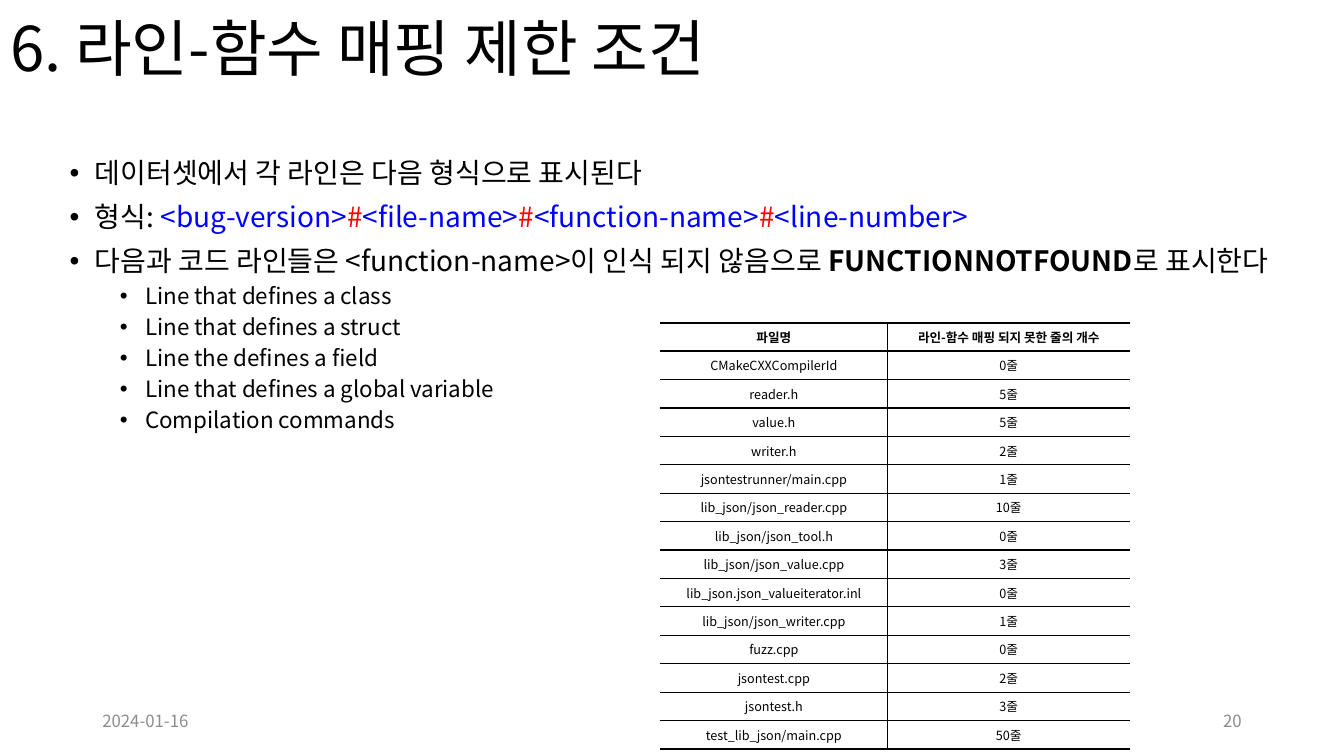
import dataclasses

import lxml.etree
import pptx
import pptx.dml.color
import pptx.enum.text
import pptx.oxml.ns
import pptx.util

Pt = pptx.util.Pt
qn = pptx.oxml.ns.qn
ALIGN = pptx.enum.text.PP_ALIGN
ANCHOR = pptx.enum.text.MSO_ANCHOR


@dataclasses.dataclass(frozen=True)
class Theme:
    font: str = "Noto Sans CJK KR"
    ink: str = "000000"
    field: str = "0000FF"
    separator: str = "FF0000"
    muted: str = "8C8C8C"
    title_size: float = 44
    list_sizes: tuple = (20, 16)
    list_gaps: tuple = (10, 5)
    list_indents: tuple = (18, 54)
    hanging: float = 18
    footer_size: float = 12
    table_size: float = 9
    thin: float = 1
    thick: float = 1.5


class SlideBuilder:
    def __init__(self, slide, theme):
        self.slide = slide
        self.theme = theme

    def place(self, shape, left, top, width, height):
        shape.left, shape.top = Pt(left), Pt(top)
        shape.width, shape.height = Pt(width), Pt(height)

    def add_run(self, paragraph, text, size, color=None, bold=False):
        run = paragraph.add_run()
        run.text = text
        run.font.name = self.theme.font
        run.font.size = Pt(size)
        run.font.bold = bold
        run.font.color.rgb = pptx.dml.color.RGBColor.from_string(color or self.theme.ink)
        east_asian = lxml.etree.SubElement(run.font._element, qn("a:ea"))
        east_asian.set("typeface", self.theme.font)

    def add_title(self, text, *box):
        title = self.slide.shapes.title
        self.place(title, *box)
        title.text_frame.vertical_anchor = ANCHOR.MIDDLE
        title.text_frame.auto_size = pptx.enum.text.MSO_AUTO_SIZE.NONE
        heading = title.text_frame.paragraphs[0]
        heading.alignment = ALIGN.LEFT
        heading.line_spacing = 0.9
        self.add_run(heading, text, self.theme.title_size)

    def add_list(self, items, *box):
        """Fill the body with (level, runs) items; a run is (text, color, bold)."""
        body = self.slide.placeholders[1]
        self.place(body, *box)
        frame = body.text_frame
        frame.auto_size = pptx.enum.text.MSO_AUTO_SIZE.NONE
        for index, (level, runs) in enumerate(items):
            item = frame.add_paragraph() if index else frame.paragraphs[0]
            item.level = level
            item.line_spacing = 0.9
            item.space_before = Pt(self.theme.list_gaps[level])
            properties = item._p.get_or_add_pPr()
            properties.set("marL", str(Pt(self.theme.list_indents[level])))
            properties.set("indent", str(Pt(-self.theme.hanging)))
            lxml.etree.SubElement(properties, qn("a:buFont")).set("typeface", "Arial")
            lxml.etree.SubElement(properties, qn("a:buChar")).set("char", "•")
            for text, color, bold in runs:
                self.add_run(item, text, self.theme.list_sizes[level], color, bold)

    def add_footer(self, text, alignment, *box):
        frame = self.slide.shapes.add_textbox(*map(Pt, box)).text_frame
        frame.word_wrap = True
        frame.vertical_anchor = ANCHOR.MIDDLE
        frame.paragraphs[0].alignment = alignment
        self.add_run(frame.paragraphs[0], text, self.theme.footer_size, self.theme.muted)

    def set_border(self, cell, side, width):
        """Draw one side of a cell, or hide it when width is 0."""
        line = lxml.etree.SubElement(cell._tc.get_or_add_tcPr(), qn(f"a:ln{side}"))
        line.set("w", str(Pt(width)))
        if width:
            fill = lxml.etree.SubElement(line, qn("a:solidFill"))
            lxml.etree.SubElement(fill, qn("a:srgbClr")).set("val", self.theme.ink)
        else:
            lxml.etree.SubElement(line, qn("a:noFill"))

    def add_table(self, rows, left, top, column_widths, row_height):
        last_row, last_column = len(rows) - 1, len(column_widths) - 1
        table = self.slide.shapes.add_table(
            len(rows), len(column_widths), Pt(left), Pt(top),
            Pt(sum(column_widths)), Pt(row_height * len(rows))).table
        table.horz_banding = False
        table.first_row = False
        for column, width in zip(table.columns, column_widths):
            column.width = Pt(width)
        thin, thick = self.theme.thin, self.theme.thick
        for r, row in enumerate(rows):
            for c, text in enumerate(row):
                cell = table.cell(r, c)
                cell.vertical_anchor = ANCHOR.MIDDLE
                self.set_border(cell, "L", thin if c else 0)
                self.set_border(cell, "R", thin if c < last_column else 0)
                self.set_border(cell, "T", thick if r <= 1 else thin)
                self.set_border(cell, "B", thick if r in (0, last_row) else thin)
                cell.fill.background()
                label = cell.text_frame.paragraphs[0]
                label.alignment = ALIGN.CENTER
                self.add_run(label, text, self.theme.table_size, bold=r == 0)


UNMAPPED_LINES = [
    ("CMakeCXXCompilerId", 0),
    ("reader.h", 5),
    ("value.h", 5),
    ("writer.h", 2),
    ("jsontestrunner/main.cpp", 1),
    ("lib_json/json_reader.cpp", 10),
    ("lib_json/json_tool.h", 0),
    ("lib_json/json_value.cpp", 3),
    ("lib_json.json_valueiterator.inl", 0),
    ("lib_json/json_writer.cpp", 1),
    ("fuzz.cpp", 0),
    ("jsontest.cpp", 2),
    ("jsontest.h", 3),
    ("test_lib_json/main.cpp", 50),
]
FORMAT_FIELDS = ["<bug-version>", "<file-name>", "<function-name>", "<line-number>"]
UNMAPPED_KINDS = [
    "Line that defines a class",
    "Line that defines a struct",
    "Line the defines a field",
    "Line that defines a global variable",
    "Compilation commands",
]


def main():
    theme = Theme()
    deck = pptx.Presentation()
    deck.slide_width, deck.slide_height = Pt(960), Pt(540)
    builder = SlideBuilder(deck.slides.add_slide(deck.slide_layouts[1]), theme)

    builder.add_title("6. 라인-함수 매핑 제한 조건", 0, 0, 828, 74)

    format_runs = [("형식: ", theme.ink, False)]
    for index, field in enumerate(FORMAT_FIELDS):
        if index:
            format_runs.append(("#", theme.separator, False))
        format_runs.append((field, theme.field, False))
    items = [
        (0, [("데이터셋에서 각 라인은 다음 형식으로 표시된다", theme.ink, False)]),
        (0, format_runs),
        (0, [("다음과 코드 라인들은 <function-name>이 인식 되지 않음으로 ", theme.ink, False),
             ("FUNCTIONNOTFOUND", theme.ink, True),
             ("로 표시한다", theme.ink, False)]),
    ]
    items += [(1, [(kind, theme.ink, False)]) for kind in UNMAPPED_KINDS]
    builder.add_list(items, 42.5, 110, 875.5, 343)

    builder.add_footer("2024-01-16", ALIGN.LEFT, 66, 500.5, 216, 28.75)
    builder.add_footer("20", ALIGN.RIGHT, 678, 500.5, 216, 28.75)

    rows = [("파일명", "라인-함수 매핑 되지 못한 줄의 개수")]
    rows += [(name, f"{count}줄") for name, count in UNMAPPED_LINES]
    builder.add_table(rows, 471.5, 230.5, (162.5, 173), 20.3)

    deck.save("out.pptx")


if __name__ == "__main__":
    main()
